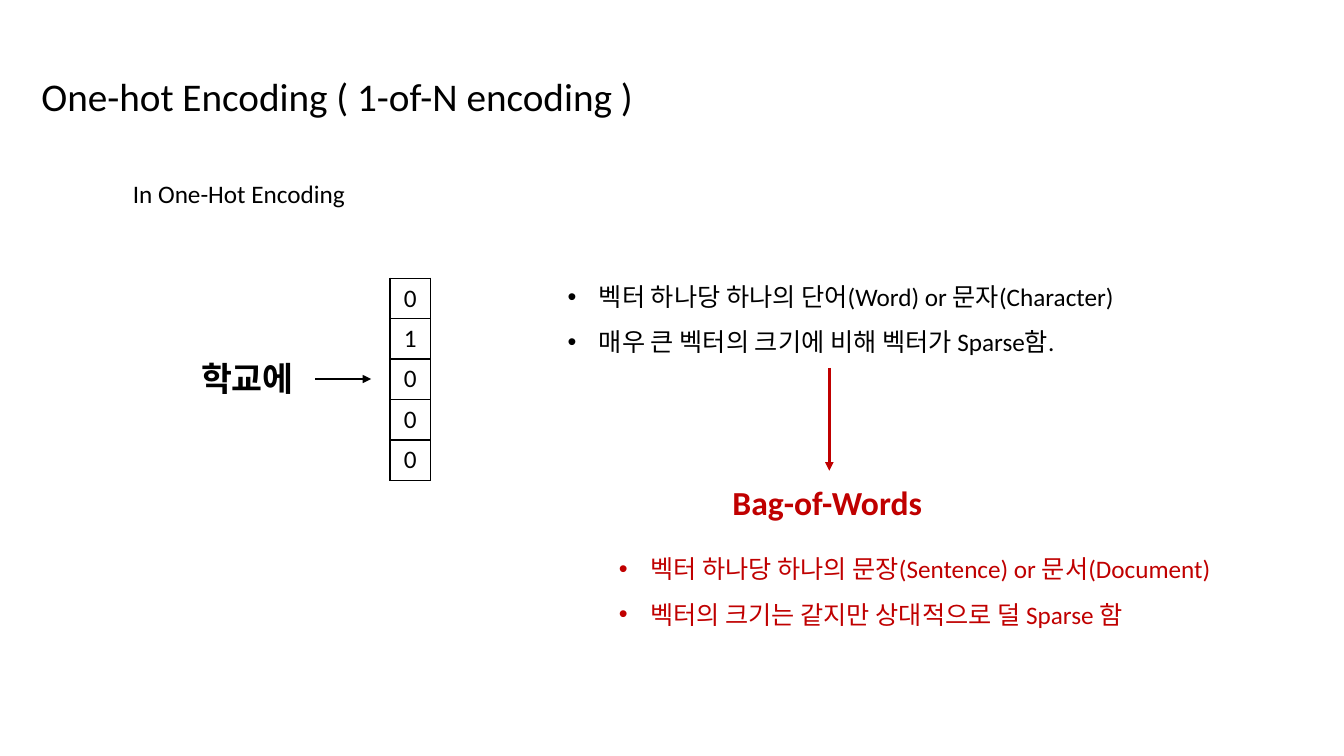
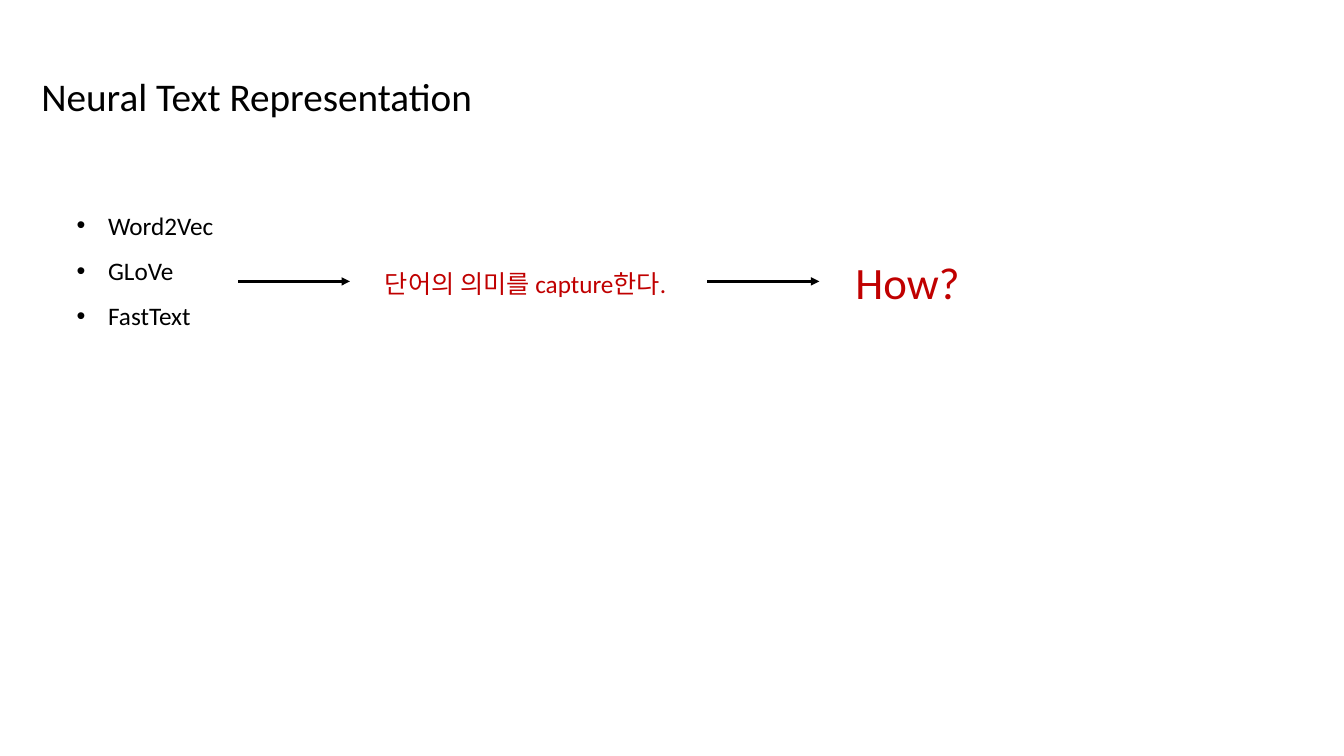
from lxml import etree
from pptx import Presentation
from pptx.dml.color import RGBColor
from pptx.enum.shapes import MSO_CONNECTOR, MSO_SHAPE
from pptx.enum.text import MSO_ANCHOR, MSO_AUTO_SIZE, PP_ALIGN
from pptx.oxml.ns import qn
from pptx.util import Cm, Pt

LEFT, CENTER = PP_ALIGN.LEFT, PP_ALIGN.CENTER
TOP, MIDDLE = MSO_ANCHOR.TOP, MSO_ANCHOR.MIDDLE
NO_AUTOSIZE = MSO_AUTO_SIZE.NONE
STRAIGHT, RECTANGLE = MSO_CONNECTOR.STRAIGHT, MSO_SHAPE.RECTANGLE

# Shared style
FONT = "Calibri"
BLACK, RED, WHITE = "000000", "C00000", "FFFFFF"
TITLE_SIZE, BODY_SIZE, LABEL_SIZE = 28, 18, 24
TITLE_BOX = (0.79, 1.68, 30, 1.45)
INDENT = Cm(0.79)
CELL = 1.02
TITLE_AND_CONTENT, TWO_CONTENT = 1, 3


def rgb(color):
    return RGBColor.from_string(color)


def format_paragraph(p, size, color, bold=False, align=LEFT):
    p.alignment = align
    for r in p.runs:
        r.font.name = FONT
        r.font.size = Pt(size)
        r.font.bold = bold
        r.font.color.rgb = rgb(color)


def place(sp, box):
    sp.left, sp.top, sp.width, sp.height = (Cm(v) for v in box)


def set_text(sp, text, size, color, bold=False, align=LEFT, anchor=TOP):
    tf = sp.text_frame
    tf.word_wrap = True
    tf.auto_size = NO_AUTOSIZE
    tf.vertical_anchor = anchor
    tf.text = text
    for p in tf.paragraphs:
        format_paragraph(p, size, color, bold, align)


def add_slide(prs, layout, title):
    s = prs.slides.add_slide(prs.slide_layouts[layout])
    place(s.shapes.title, TITLE_BOX)
    set_text(s.shapes.title, title, TITLE_SIZE, BLACK, anchor=MIDDLE)
    return s


def add_label(s, text, box, size=BODY_SIZE, color=BLACK, bold=False, align=LEFT):
    sp = s.shapes.add_textbox(*(Cm(v) for v in box))
    set_text(sp, text, size, color, bold, align)


def add_bullet(p):
    pPr = p._p.get_or_add_pPr()
    pPr.set("marL", str(INDENT))
    pPr.set("indent", str(-INDENT))
    etree.SubElement(pPr, qn("a:buFont")).set("typeface", "Arial")
    etree.SubElement(pPr, qn("a:buChar")).set("char", "•")


def fill_list(sp, items, box, color=BLACK):
    place(sp, box)
    set_text(sp, "\n".join(items), BODY_SIZE, color)
    for p in sp.text_frame.paragraphs:
        add_bullet(p)
        p.line_spacing = 1.5
        p.space_before = Pt(0)


def add_arrow(s, x1, y1, x2, y2, color=BLACK):
    line = s.shapes.add_connector(STRAIGHT, Cm(x1), Cm(y1), Cm(x2), Cm(y2))
    line.line.color.rgb = rgb(color)
    line.line.width = Pt(2)
    etree.SubElement(line.line._get_or_add_ln(), qn("a:tailEnd")).set("type", "triangle")
    etree.SubElement(line._element.spPr, qn("a:effectLst"))


def add_borders(cell):
    tcPr = cell._tc.get_or_add_tcPr()
    for side in ("lnL", "lnR", "lnT", "lnB"):
        ln = etree.SubElement(tcPr, qn(f"a:{side}"), w=str(Pt(1)))
        fill = etree.SubElement(ln, qn("a:solidFill"))
        etree.SubElement(fill, qn("a:srgbClr")).set("val", BLACK)


def add_vector(s, values, left, top):
    """Draw a column vector as a table of square cells."""
    frame = s.shapes.add_table(len(values), 1, Cm(left), Cm(top),
                               Cm(CELL), Cm(CELL * len(values)))
    table = frame.table
    table.first_row = table.horz_banding = False
    for row, value in enumerate(values):
        cell = table.cell(row, 0)
        cell.margin_top = cell.margin_bottom = Cm(0.1)
        cell.vertical_anchor = MIDDLE
        add_borders(cell)
        cell.fill.background()
        cell.text = str(value)
        format_paragraph(cell.text_frame.paragraphs[0], BODY_SIZE, BLACK, align=CENTER)


def add_box(s, text, box, size, color):
    sp = s.shapes.add_shape(RECTANGLE, *(Cm(v) for v in box))
    sp.shadow.inherit = False
    sp.fill.solid()
    sp.fill.fore_color.rgb = rgb(WHITE)
    sp.line.fill.background()
    set_text(sp, text, size, color, anchor=MIDDLE)


def build_one_hot(prs):
    s = add_slide(prs, TWO_CONTENT, "One-hot Encoding ( 1-of-N encoding )")
    one_hot_list, bag_list = s.placeholders[1], s.placeholders[2]

    # Word and its vector
    add_label(s, "In One-Hot Encoding", (3.1, 4.37, 6.2, 1.02))
    add_label(s, "학교에", (4.7, 8.89, 3.07, 1.27), LABEL_SIZE, bold=True, align=CENTER)
    add_arrow(s, 7.95, 9.55, 9.35, 9.55)
    add_vector(s, [0, 1, 0, 0, 0], 9.83, 7.01)

    # One-hot properties leading to bag-of-words
    fill_list(one_hot_list, ["벡터 하나당 하나의 단어(Word) or 문자(Character)",
                             "매우 큰 벡터의 크기에 비해 벡터가 Sparse함."],
              (14.05, 6.58, 15.5, 3.6))
    add_arrow(s, 20.9, 9.27, 20.9, 11.86, RED)
    add_label(s, "Bag-of-Words", (18.21, 12.01, 5.5, 1.27), LABEL_SIZE, RED, bold=True)
    fill_list(bag_list, ["벡터 하나당 하나의 문장(Sentence) or 문서(Document)",
                         "벡터의 크기는 같지만 상대적으로 덜 Sparse 함"],
              (15.34, 13.44, 16.7, 3.6), RED)


def build_neural(prs):
    s = add_slide(prs, TITLE_AND_CONTENT, "Neural Text Representation")
    fill_list(s.placeholders[1], ["Word2Vec", "GLoVe", "FastText"], (1.68, 4.78, 4.2, 3.6))

    # Models, what they do, and the open question
    add_label(s, "단어의 의미를 capture한다.", (9.45, 6.63, 8.4, 1.02), color=RED)
    for left in (6, 17.83):
        add_arrow(s, left, 7.09, left + 2.82, 7.09)
    add_box(s, "How?", (21.31, 6.27, 3.3, 1.63), 32, RED)


def main():
    prs = Presentation()
    prs.slide_width, prs.slide_height = Cm(33.87), Cm(19.05)
    build_one_hot(prs)
    build_neural(prs)
    prs.save("out.pptx")


if __name__ == "__main__":
    main()
